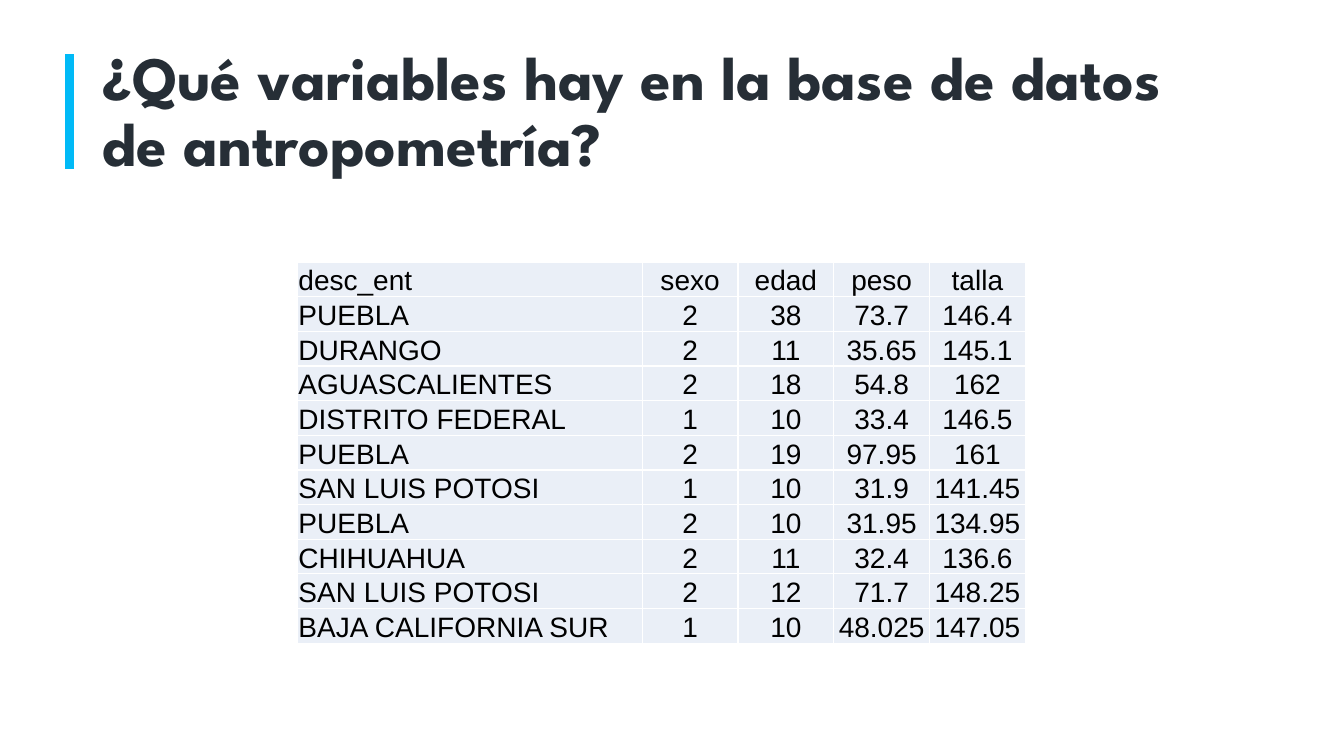
from lxml import etree
from pptx import Presentation
from pptx.dml.color import RGBColor
from pptx.enum.shapes import MSO_CONNECTOR
from pptx.enum.text import MSO_ANCHOR, PP_ALIGN
from pptx.oxml import parse_xml
from pptx.oxml.ns import nsdecls, qn
from pptx.util import Inches, Pt

STRAIGHT = MSO_CONNECTOR.STRAIGHT
MIDDLE, BOTTOM = MSO_ANCHOR.MIDDLE, MSO_ANCHOR.BOTTOM
LEFT, CENTER = PP_ALIGN.LEFT, PP_ALIGN.CENTER

DARK = RGBColor(0x26, 0x2E, 0x36)
CYAN = RGBColor(0x00, 0xBA, 0xF7)
PALE_BLUE = RGBColor(0xEA, 0xEF, 0xF7)
WHITE = RGBColor(0xFF, 0xFF, 0xFF)
BLACK = RGBColor(0x00, 0x00, 0x00)

COLUMN_WIDTHS = [3.42, 0.95, 0.95, 0.95, 0.95]
ROW_HEIGHT = 0.27
ROWS = [
    ("desc_ent", "sexo", "edad", "peso", "talla"),
    ("PUEBLA", "2", "38", "73.7", "146.4"),
    ("DURANGO", "2", "11", "35.65", "145.1"),
    ("AGUASCALIENTES", "2", "18", "54.8", "162"),
    ("DISTRITO FEDERAL", "1", "10", "33.4", "146.5"),
    ("PUEBLA", "2", "19", "97.95", "161"),
    ("SAN LUIS POTOSI", "1", "10", "31.9", "141.45"),
    ("PUEBLA", "2", "10", "31.95", "134.95"),
    ("CHIHUAHUA", "2", "11", "32.4", "136.6"),
    ("SAN LUIS POTOSI", "2", "12", "71.7", "148.25"),
    ("BAJA CALIFORNIA SUR", "1", "10", "48.025", "147.05"),
]


def add_run(p, text, size, font, color, bold=False):
    r = p.add_run()
    r.text = text
    r.font.size = Pt(size)
    r.font.name = font
    r.font.bold = bold
    r.font.color.rgb = color


def set_borders(cell, color, width):
    """Draw all four sides of the cell; borders go before the fill in tcPr."""
    tcPr = cell._tc.get_or_add_tcPr()
    for i, side in enumerate(("lnL", "lnR", "lnT", "lnB")):
        tcPr.insert(i, parse_xml(
            f'<a:{side} {nsdecls("a")} w="{Pt(width)}"><a:solidFill>'
            f'<a:srgbClr val="{color}"/></a:solidFill></a:{side}>'))


prs = Presentation()
prs.slide_width, prs.slide_height = Inches(13.33), Inches(7.5)
s = prs.slides.add_slide(prs.slide_layouts[6])

# Title with its accent bar
title = s.shapes.add_textbox(Inches(0.92), Inches(0.4), Inches(11.5), Inches(1.45))
tf = title.text_frame
tf.word_wrap = True
tf.vertical_anchor = MIDDLE
p = tf.paragraphs[0]
p.line_spacing = 0.9
add_run(p, "¿Qué variables hay en la base de datos de antropometría?",
        44, "League Spartan", DARK, bold=True)

bar = s.shapes.add_connector(STRAIGHT, Inches(0.69), Inches(0.54),
                             Inches(0.69), Inches(1.68))
bar.line.color.rgb = CYAN
bar.line.width = Pt(6)
etree.SubElement(bar._element.spPr, qn("a:effectLst"))

# Sample of the data
frame = s.shapes.add_table(len(ROWS), len(COLUMN_WIDTHS), Inches(2.95), Inches(2.6),
                           Inches(sum(COLUMN_WIDTHS)), Inches(ROW_HEIGHT * len(ROWS)))
table = frame.table
table.horz_banding = False
for column, width in zip(table.columns, COLUMN_WIDTHS):
    column.width = Inches(width)

for row, values in zip(table.rows, ROWS):
    row.height = Inches(ROW_HEIGHT)
    for col, (cell, value) in enumerate(zip(row.cells, values)):
        cell.margin_left = cell.margin_right = cell.margin_top = Inches(0.01)
        cell.margin_bottom = 0
        cell.vertical_anchor = BOTTOM
        cell.fill.solid()
        cell.fill.fore_color.rgb = PALE_BLUE
        set_borders(cell, WHITE, 1)
        p = cell.text_frame.paragraphs[0]
        p.alignment = CENTER if col else LEFT
        add_run(p, value, 20, "Arial", BLACK)

prs.save("out.pptx")
